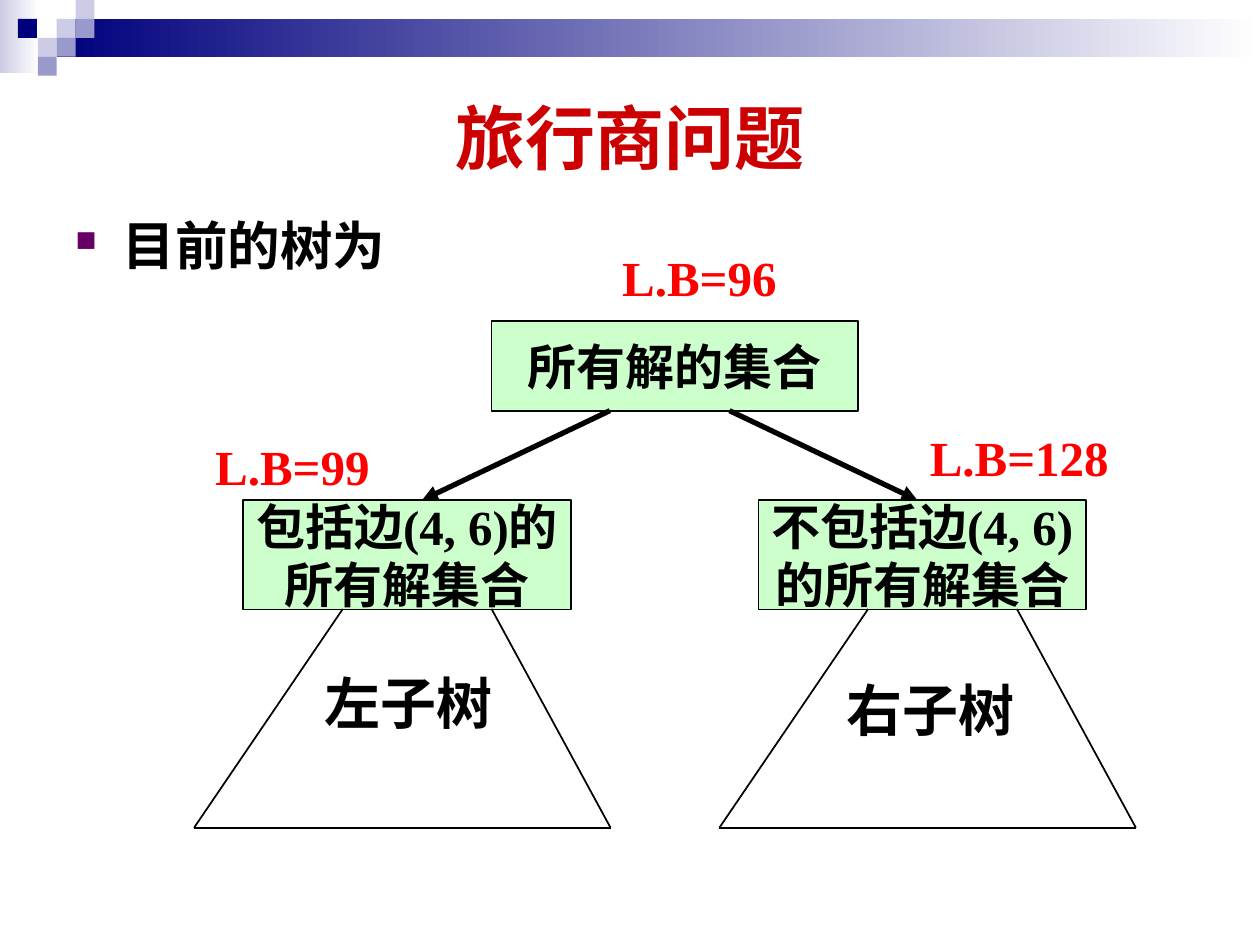
"""Build the travelling salesman slide with its branch-and-bound tree."""
import pptx
import pptx.util
import pptx.dml.color
import pptx.enum.shapes
import pptx.enum.text
import pptx.oxml
import pptx.oxml.ns
from lxml import etree

Pt = pptx.util.Pt
RGBColor = pptx.dml.color.RGBColor
SHAPE = pptx.enum.shapes.MSO_SHAPE
ALIGN = pptx.enum.text.PP_ALIGN
ANCHOR = pptx.enum.text.MSO_ANCHOR
AUTO_SIZE = pptx.enum.text.MSO_AUTO_SIZE
qn = pptx.oxml.ns.qn

BLACK = RGBColor(0, 0, 0)
WHITE = RGBColor(255, 255, 255)
NAVY = RGBColor(0, 0, 0x7D)
LILAC = RGBColor(0xCC, 0xCC, 0xE6)
PERIWINKLE = RGBColor(0x99, 0x99, 0xCC)
GREEN = RGBColor(0xCC, 0xFF, 0xCC)
RED = RGBColor(0xFF, 0, 0)
TITLE_RED = RGBColor(0xCC, 0, 0)
SERIF = "Times New Roman"
CELL = 10.8


def place(s, x, y, w, h):
    s.left, s.top, s.width, s.height = Pt(x), Pt(y), Pt(w), Pt(h)


def set_text(tf, text, size, color, font=SERIF, align=ALIGN.LEFT):
    tf.text = text
    for p in tf.paragraphs:
        p.alignment = align
        for r in p.runs:
            r.font.name, r.font.size, r.font.bold = font, Pt(size), True
            r.font.color.rgb = color


def add_rect(slide, x, y, w, h, color, fade=False):
    s = slide.shapes.add_shape(SHAPE.RECTANGLE, Pt(x), Pt(y), Pt(w), Pt(h))
    s.shadow.inherit = False
    s.line.fill.background()
    if fade:
        s.fill.gradient()
        s.fill.gradient_angle = 0
        for stop, rgb in zip(s.fill.gradient_stops, (color, WHITE)):
            stop.color.rgb = rgb
    else:
        s.fill.solid()
        s.fill.fore_color.rgb = color
    return s


def add_banner(slide):
    add_rect(slide, 0, 0, 22.3, 41.8, LILAC, fade=True)
    add_rect(slide, 32.4, CELL, 687.6, 21.6, NAVY, fade=True)
    cells = [(3, 1, LILAC), (4, 0, LILAC), (4, 1, PERIWINKLE), (2, 2, LILAC),
             (0.95, 1, NAVY), (3, 2, PERIWINKLE), (2, 3, PERIWINKLE)]
    for col, row, color in cells:
        add_rect(slide, col * CELL, row * CELL, CELL, CELL, color)


def add_title(slide, text):
    s = slide.shapes.title
    place(s, 36, 36, 648, 83.5)
    s.text_frame.vertical_anchor = ANCHOR.MIDDLE
    set_text(s.text_frame, text, 40, TITLE_RED, "Arial", ALIGN.CENTER)


def add_bullet(slide, text):
    tf = slide.shapes.add_textbox(Pt(36), Pt(116.6), Pt(648), Pt(374.4)).text_frame
    tf.word_wrap = True
    tf.text = text
    p = tf.paragraphs[0]
    pPr = p._p.get_or_add_pPr()
    pPr.set("marL", str(Pt(27)))
    pPr.set("indent", str(-Pt(27)))
    clr = etree.SubElement(pPr, qn("a:buClr"))
    etree.SubElement(clr, qn("a:srgbClr")).set("val", "660066")
    etree.SubElement(pPr, qn("a:buSzPct")).set("val", "55000")
    etree.SubElement(pPr, qn("a:buChar")).set("char", "■")
    p.line_spacing = 1.05
    font = p.runs[0].font
    font.name, font.size, font.bold = "Arial", Pt(30), True
    font.color.rgb = BLACK


def add_node(slide, x, y, w, h, text):
    s = add_rect(slide, x, y, w, h, GREEN)
    s.line.color.rgb = BLACK
    s.line.width = Pt(1)
    s.text_frame.word_wrap = False
    s.text_frame.vertical_anchor = ANCHOR.MIDDLE
    set_text(s.text_frame, text, 28, BLACK, align=ALIGN.CENTER)


def add_label(slide, x, y, w, h, text, size, color):
    tf = slide.shapes.add_textbox(Pt(x), Pt(y), Pt(w), Pt(h)).text_frame
    tf.word_wrap = False
    tf.auto_size = AUTO_SIZE.SHAPE_TO_FIT_TEXT
    set_text(tf, text, size, color)


def add_line(slide, start, end, width=1, arrow=False):
    s = slide.shapes.add_connector(pptx.enum.shapes.MSO_CONNECTOR.STRAIGHT,
                                   *map(Pt, start + end))
    s.line.color.rgb = BLACK
    s.line.width = Pt(width)
    if arrow:
        tail = etree.SubElement(s.line._get_or_add_ln(), qn("a:tailEnd"))
        tail.set("type", "triangle")
    etree.SubElement(s._element.spPr, qn("a:effectLst"))


def add_subtree(slide, x):
    top, bottom = 348, 473
    left, right = (x, bottom), (x + 238, bottom)
    add_line(slide, (x + 85, top), left)
    add_line(slide, (x + 170, top), right)
    add_line(slide, left, right)


def main():
    prs = pptx.Presentation()
    prs.slide_width, prs.slide_height = Pt(720), Pt(540)
    slide = prs.slides.add_slide(prs.slide_layouts[5])
    add_banner(slide)
    add_title(slide, "旅行商问题")
    add_bullet(slide, "目前的树为")
    add_node(slide, 280.8, 183.6, 209.5, 51.1, "所有解的集合")
    add_node(slide, 139, 285.8, 187.2, 62.6, "包括边(4, 6)的\n所有解集合")
    add_node(slide, 433.4, 285.8, 187.2, 62.6, "不包括边(4, 6)\n的所有解集合")
    add_line(slide, (348.5, 234.7), (241.2, 285.8), 3, arrow=True)
    add_line(slide, (416.9, 234.7), (524.2, 285.8), 3, arrow=True)
    for x, y, w, text in [(348.5, 138.2, 103, "L.B=96"),
                          (115.9, 246.2, 103, "L.B=99"),
                          (524.2, 240.5, 118, "L.B=128")]:
        add_label(slide, x, y, w, 41, text, 28, RED)
    add_subtree(slide, 110.9)
    add_subtree(slide, 411.1)
    add_label(slide, 178.6, 378.7, 111.6, 46, "左子树", 32, BLACK)
    add_label(slide, 476.6, 382.3, 111.6, 46, "右子树", 32, BLACK)
    prs.save("out.pptx")


if __name__ == "__main__":
    main()
